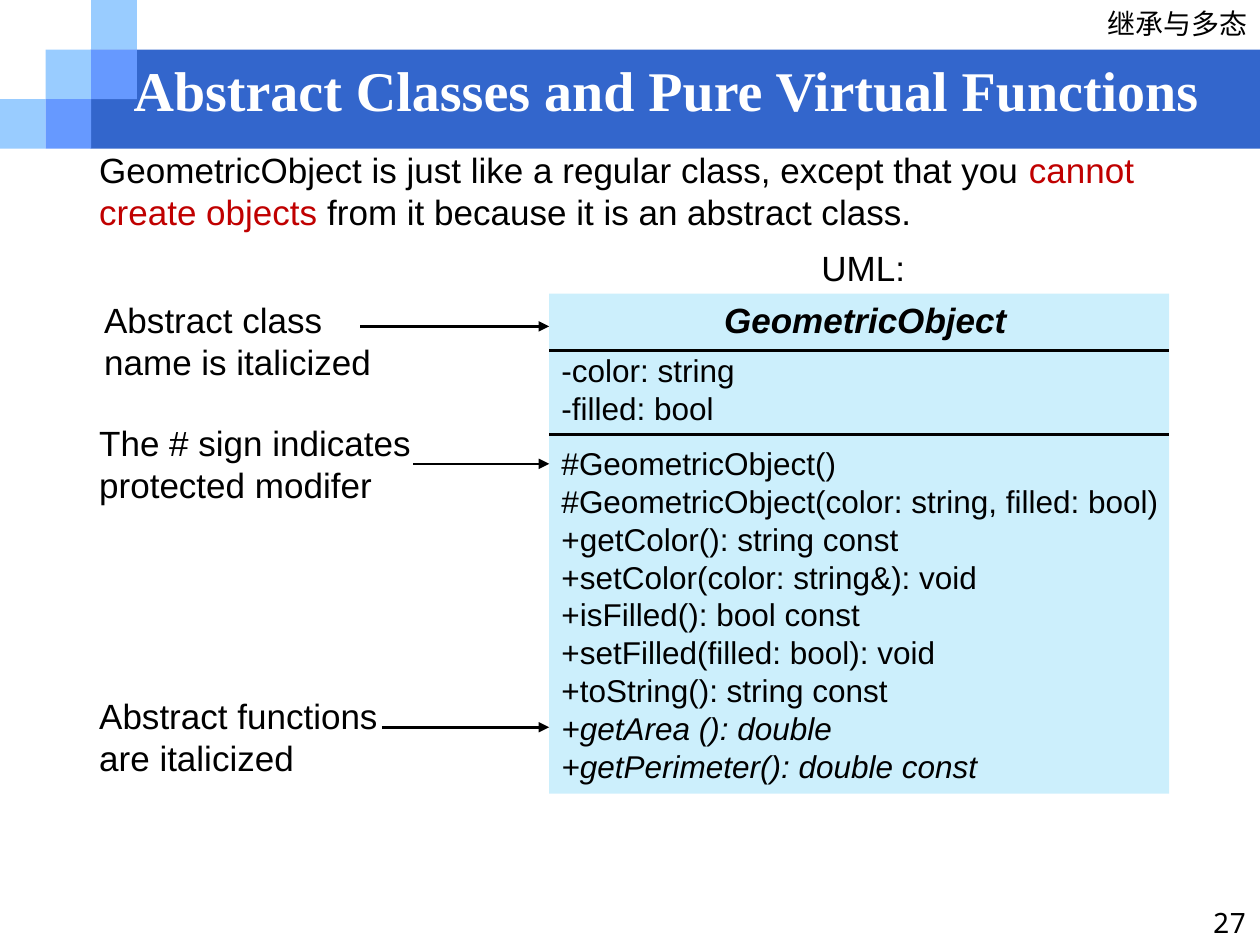
import pptx
import pptx.dml.color
import pptx.enum.shapes
import pptx.enum.text
import pptx.oxml.ns
import pptx.util
from lxml import etree
from pptx.util import Cm

COLORS = {
    "bar": "3366CC",
    "light": "99CCFF",
    "mid": "6699FF",
    "class": "00B0F0",
    "text": "000000",
    "title": "FFFFFF",
    "stress": "C00000",
}
ALIGN = pptx.enum.text.PP_ALIGN
ANCHOR = pptx.enum.text.MSO_ANCHOR
qn = pptx.oxml.ns.qn

# Class diagram edges, in cm
CLASS_LEFT, CLASS_TOP, CLASS_WIDTH, CLASS_HEIGHT = 11.07, 5.92, 12.5, 10.08


def rgb(name):
    return pptx.dml.color.RGBColor.from_string(COLORS[name])


def write(frame, text, size=20, font="Arial", color="text", bold=False, italic=False,
          align=ALIGN.LEFT, before=0, same_line=False):
    """Add a run, in a new paragraph unless it goes on in the same line."""
    paragraph = frame.paragraphs[-1]
    if paragraph.runs and not same_line:
        paragraph = frame.add_paragraph()
    if not same_line:
        paragraph.alignment = align
        paragraph.space_before = pptx.util.Pt(before)
    run = paragraph.add_run()
    run.text = text
    run.font.size = pptx.util.Pt(size)
    run.font.name = font
    run.font.bold = bold
    run.font.italic = italic
    run.font.color.rgb = rgb(color)
    etree.SubElement(run.font._element, qn("a:ea"), typeface=font)


def add_frame(slide, left, top, width, height, wrap=True):
    box = slide.shapes.add_textbox(Cm(left), Cm(top), Cm(width), Cm(height))
    box.text_frame.word_wrap = wrap
    return box.text_frame


def add_block(slide, left, top, width, height, color, opacity=None):
    block = slide.shapes.add_shape(pptx.enum.shapes.MSO_SHAPE.RECTANGLE,
                                   Cm(left), Cm(top), Cm(width), Cm(height))
    block.shadow.inherit = False
    block.line.fill.background()
    block.fill.solid()
    block.fill.fore_color.rgb = rgb(color)
    if opacity is not None:
        srgb = block._element.spPr.find(".//" + qn("a:srgbClr"))
        etree.SubElement(srgb, qn("a:alpha"), val=str(opacity * 1000))
    return block


def add_line(slide, start, end, y, arrow=False):
    line = slide.shapes.add_connector(pptx.enum.shapes.MSO_CONNECTOR.STRAIGHT,
                                      Cm(start), Cm(y), Cm(end), Cm(y))
    line.line.color.rgb = rgb("text")
    line.line.width = pptx.util.Pt(1.5)
    if arrow:
        etree.SubElement(line.line._get_or_add_ln(), qn("a:tailEnd"), type="triangle")
    etree.SubElement(line._element.spPr, qn("a:effectLst"))


def add_header(slide):
    # Title bar and stepped squares
    add_block(slide, 1.83, 1, 23.57, 2, "bar")
    step_width, step_height = 0.92, 1
    for column, row, color in [(0, 2, "light"), (1, 1, "light"), (2, 0, "light"),
                               (2, 1, "mid"), (1, 2, "mid")]:
        add_block(slide, column * step_width, row * step_height,
                  step_width, step_height, color)

    # Chapter name
    chapter = add_frame(slide, 22.05, 0, 3.35, 0.94, wrap=False)
    write(chapter, "继承与多态", size=16, font="Noto Sans CJK SC", align=ALIGN.RIGHT)

    # Title, brought in front of the bar
    title = slide.shapes.title
    slide.shapes.element.append(title.element)
    title.left, title.top, title.width, title.height = Cm(2.44), Cm(1.27), Cm(22.96), Cm(1.07)
    frame = title.text_frame
    frame.auto_size = pptx.enum.text.MSO_AUTO_SIZE.NONE
    frame.vertical_anchor = ANCHOR.MIDDLE
    write(frame, "Abstract Classes and Pure Virtual Functions", size=32,
          font="Times New Roman", color="title", bold=True)


def add_class(slide):
    box = add_block(slide, CLASS_LEFT, CLASS_TOP, CLASS_WIDTH, CLASS_HEIGHT, "class", opacity=20)
    frame = box.text_frame
    frame.word_wrap = True
    frame.vertical_anchor = ANCHOR.TOP
    frame.margin_left, frame.margin_right = Cm(0.25), 0
    frame.margin_top = frame.margin_bottom = Cm(0.1)

    write(frame, "GeometricObject", bold=True, italic=True, align=ALIGN.CENTER)
    attributes = ["-color: string", "-filled: bool"]
    methods = ["#GeometricObject()", "#GeometricObject(color: string, filled: bool)",
               "+getColor(): string const", "+setColor(color: string&): void",
               "+isFilled(): bool const", "+setFilled(filled: bool): void",
               "+toString(): string const"]
    abstract_methods = ["+getArea (): double", "+getPerimeter(): double const"]
    for members, gap, italic in [(attributes, 6, False), (methods, 10, False),
                                 (abstract_methods, 0, True)]:
        for index, member in enumerate(members):
            write(frame, member, size=18, italic=italic, before=0 if index else gap)

    # Compartment rules
    for y in (7.06, 8.76):
        add_line(slide, CLASS_LEFT, CLASS_LEFT + CLASS_WIDTH, y)


def add_note(slide, left, top, lines, arrow_start, arrow_y):
    frame = add_frame(slide, left, top, 7.92, 1.96)
    for line in lines:
        write(frame, line)
    add_line(slide, arrow_start, CLASS_LEFT, arrow_y, arrow=True)


def main():
    deck = pptx.Presentation()
    deck.slide_width, deck.slide_height = Cm(25.4), Cm(19.05)
    slide = deck.slides.add_slide(deck.slide_layouts[5])

    add_header(slide)

    # Introduction
    intro = add_frame(slide, 1.75, 2.87, 21.51, 1.96)
    write(intro, "GeometricObject is just like a regular class, except that you ")
    write(intro, "cannot create objects", color="stress", same_line=True)
    write(intro, " from it because it is an abstract class.", same_line=True)

    # Class diagram
    write(add_frame(slide, 16.31, 4.85, 7.92, 1.12), "UML:")
    add_class(slide)

    # Notes pointing at the diagram
    add_note(slide, 1.85, 5.89, ["Abstract class", "name is italicized"], 7.26, 6.58)
    add_note(slide, 1.75, 8.38, ["The # sign indicates", "protected modifer"], 8.33, 9.35)
    add_note(slide, 1.75, 13.87, ["Abstract functions", "are italicized"], 7.7, 14.66)

    # Page number
    page = add_frame(slide, 23.95, 18.14, 1.42, 0.89)
    write(page, "27", size=16, font="Noto Sans Mono", align=ALIGN.RIGHT)

    deck.save("out.pptx")


if __name__ == "__main__":
    main()
